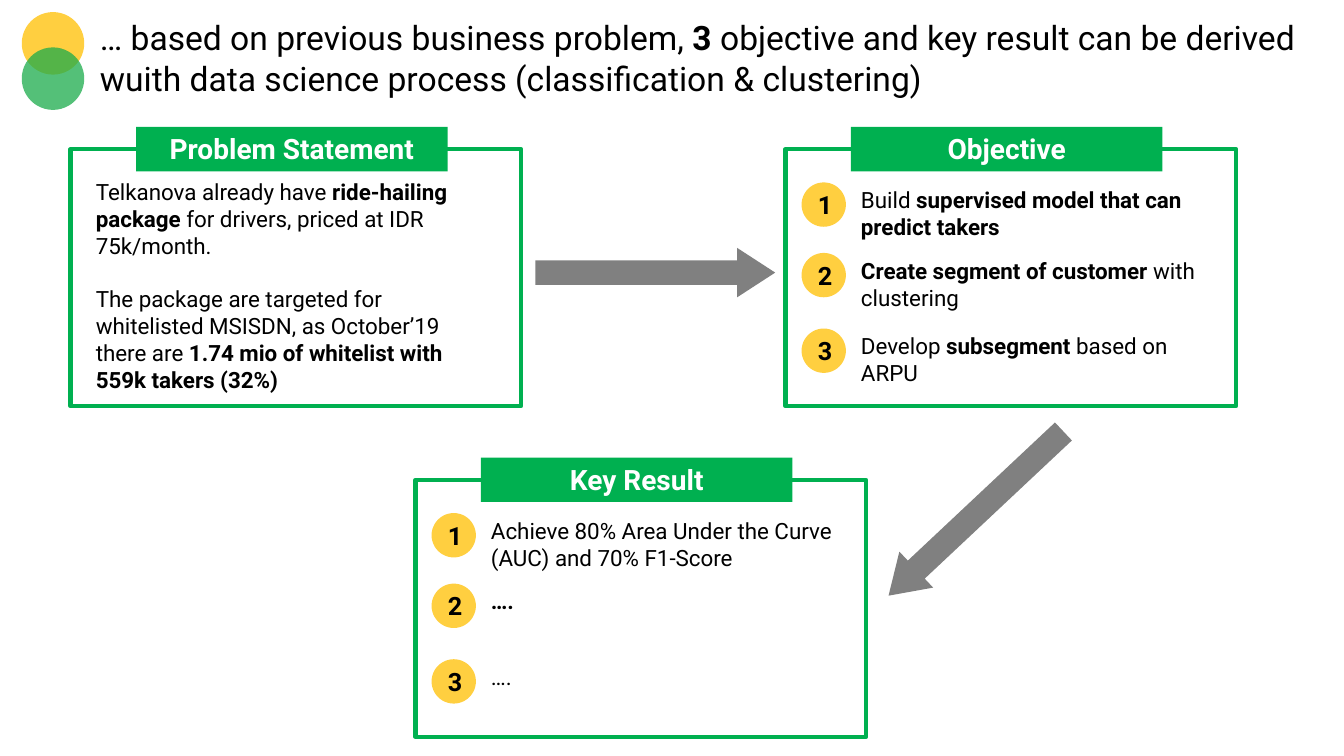
from lxml.etree import SubElement
from pptx import Presentation
from pptx.dml.color import RGBColor
from pptx.enum.shapes import MSO_SHAPE
from pptx.enum.text import MSO_ANCHOR, MSO_AUTO_SIZE, PP_ALIGN
from pptx.oxml.ns import qn
from pptx.util import Inches, Pt

GREEN, AMBER, LEAF, GREY, BLACK, WHITE = "00B050", "FFC000", "1BAC4B", "808080", "000000", "FFFFFF"
TITLE = {"size": Pt(24), "name": "Roboto"}
HEADING = {"size": Pt(20), "name": "Roboto"}
NUMBER = {"size": Pt(18), "name": "Roboto"}
BODY = {"size": Pt(16), "name": "Roboto"}

deck = Presentation()
deck.slide_width, deck.slide_height = Inches(13.33), Inches(7.5)
slide = deck.slides.add_slide(deck.slide_layouts[1])
COL, ROW = deck.slide_width / 100, deck.slide_height / 100


def write(part, place, paragraphs, style, color=BLACK, align=PP_ALIGN.LEFT, anchor=MSO_ANCHOR.TOP):
    part.left, part.top, part.width, part.height = [
        round(length * unit) for length, unit in zip(place, (COL, ROW, COL, ROW))]
    frame = part.text_frame
    layout = {"word_wrap": True, "auto_size": MSO_AUTO_SIZE.NONE, "vertical_anchor": anchor}
    for key, value in layout.items():
        setattr(frame, key, value)
    for index, wording in enumerate(paragraphs):
        paragraph = frame.add_paragraph() if index else frame.paragraphs[0]
        spacing = {"alignment": align, "space_before": Pt(19 if index else 0), "space_after": Pt(0)}
        for key, value in spacing.items():
            setattr(paragraph, key, value)
        for turn, piece in enumerate(wording.split("*")):
            if piece:
                run = paragraph.add_run()
                run.text = piece
                for key, value in {**style, "bold": turn % 2 == 1}.items():
                    setattr(run.font, key, value)
                run.font.color.rgb = RGBColor.from_string(color)


def draw(kind, place, fill=None, line=None, alpha=None):
    form = slide.shapes.add_shape(kind, *[
        round(length * unit) for length, unit in zip(place, (COL, ROW, COL, ROW))])
    form.shadow.inherit = False
    if fill:
        form.fill.solid()
        form.fill.fore_color.rgb = RGBColor.from_string(fill)
    else:
        form.fill.background()
    if line:
        form.line.color.rgb = RGBColor.from_string(line)
        form.line.width = Pt(3)
    else:
        form.line.fill.background()
    if alpha:
        tint = next(form.fill._xPr.iter(qn("a:srgbClr")))
        SubElement(tint, qn("a:alpha")).set("val", str(alpha * 1000))
    return form


write(slide.shapes.title, (6.68, 1.6, 92.42, 12.13), [
    "… based on previous business problem, *3 *objective and key result can be derived "
    "wuith data science process (classification & clustering)"], TITLE)

for top, color in ((1.6, AMBER), (6.27, LEAF)):
    draw(MSO_SHAPE.OVAL, (1.62, top, 4.65, 8.27), color, alpha=75)

statement = slide.placeholders[1]
write(statement, (6.38, 22.93, 31.21, 30.13), [
    "Telkanova already have *ride-hailing package* for drivers, priced at IDR 75k/month.",
    "The package are targeted for whitelisted MSISDN, as October’19 there are "
    "*1.74 mio of whitelist with 559k takers (32%)*"], BODY)
for paragraph in statement.text_frame.paragraphs:
    properties = paragraph._p.get_or_add_pPr()
    for key in ("marL", "indent"):
        properties.set(key, "0")
    SubElement(properties, qn("a:buNone"))

panels = (
    ("Problem Statement", 5.25, 19.73, ()),
    ("Objective", 58.44, 19.73, (
        "Build *supervised model that can predict takers*",
        "*Create segment of customer *with clustering",
        "Develop *subsegment *based on ARPU")),
    ("Key Result", 30.91, 63.47, (
        "Achieve 80% Area Under the Curve (AUC) and 70% F1-Score",
        "*….*",
        "….")),
)
for heading, left, top, items in panels:
    draw(MSO_SHAPE.RECTANGLE, (left, top, 33.53, 34), line=GREEN)
    banner = (left + 4.88, top - 2.93, 23.18, 5.87)
    write(draw(MSO_SHAPE.RECTANGLE, banner, GREEN), banner, [f"*{heading}*"],
          HEADING, WHITE, PP_ALIGN.CENTER)
    for number, (item, drop) in enumerate(zip(items, (4.4, 13.73, 23.73)), 1):
        badge = (left + 1.2, top + drop, 3.3, 5.87)
        write(draw(MSO_SHAPE.OVAL, badge, AMBER, alpha=75), badge, [f"*{number}*"],
              NUMBER, BLACK, PP_ALIGN.CENTER, MSO_ANCHOR.MIDDLE)
        write(slide.shapes.add_textbox(0, 0, 0, 0),
              (left + 4.88, top + drop - 0.13, 27.53, 8.53), [item], BODY)

for left, top, turn in ((39.83, 32.8, 0), (63.69, 64.67, 136.8)):
    arrow = draw(MSO_SHAPE.RIGHT_ARROW, (left, top, 17.85, 6.53), GREY)
    arrow.rotation = turn
    arrow.adjustments[0], arrow.adjustments[1] = 0.5, 0.77

deck.save("out.pptx")
